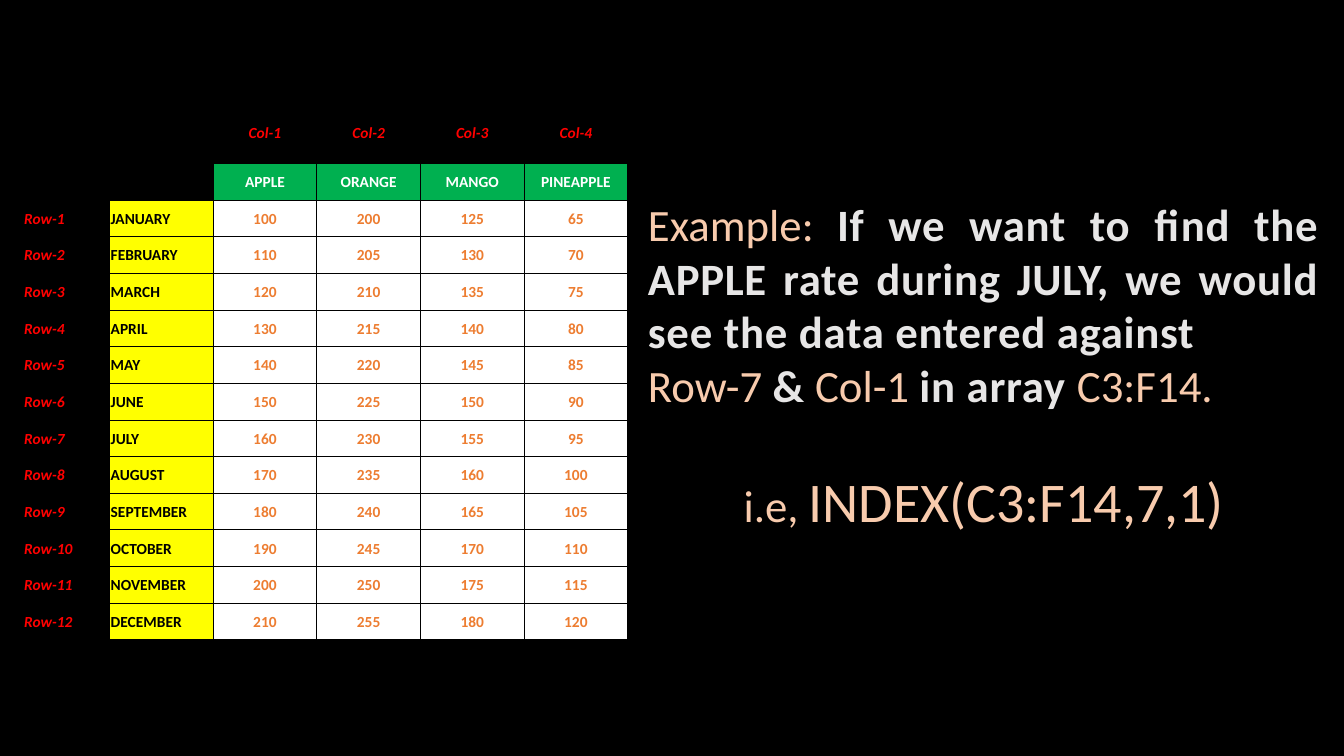
from lxml import etree
from pptx import Presentation
from pptx import util as u
from pptx.dml.color import RGBColor
from pptx.enum import text
from pptx.oxml import ns

FONT = "Calibri"
BLACK, WHITE, RED = "000000", "FFFFFF", "FF0000"
GREEN, YELLOW, ORANGE, PEACH, GREY = "00B050", "FFFF00", "ED7D31", "F8CBAD", "E7E6E6"
LEFT, CENTER, JUSTIFY = text.PP_ALIGN.LEFT, text.PP_ALIGN.CENTER, text.PP_ALIGN.JUSTIFY
MONTHS = ["JANUARY", "FEBRUARY", "MARCH", "APRIL", "MAY", "JUNE", "JULY",
          "AUGUST", "SEPTEMBER", "OCTOBER", "NOVEMBER", "DECEMBER"]
JANUARY_RATE_AND_STEP = {"APPLE": (100, 10), "ORANGE": (200, 5),
                         "MANGO": (125, 5), "PINEAPPLE": (65, 5)}
STYLES = {
    "blank": (None, LEFT, {}),
    "column label": (None, CENTER, {"color": RED, "italic": True}),
    "row label": (None, LEFT, {"color": RED, "italic": True}),
    "fruit": (GREEN, CENTER, {"color": WHITE}),
    "month": (YELLOW, LEFT, {"color": BLACK}),
    "rate": (WHITE, CENTER, {"color": ORANGE}),
}


def paint(fill, color):
    """Give a fill one solid colour from a hex string."""
    fill.solid()
    fill.fore_color.rgb = RGBColor.from_string(color)


def add_line(parent, tag, color, points, position):
    """Insert a solid line definition into an XML properties element."""
    line = etree.Element(ns.qn(tag), w=str(u.Pt(points)))
    solid = etree.SubElement(line, ns.qn("a:solidFill"))
    etree.SubElement(solid, ns.qn("a:srgbClr"), val=color)
    parent.insert(position, line)


def add_run(paragraph, words, color, **formats):
    """Append formatted words to a paragraph and return the run."""
    run = paragraph.add_run()
    run.text = words
    paint(run.font.fill, color)
    for name, value in {"name": FONT, **formats}.items():
        setattr(run.font, name, value)
    return run


def fill_cell(cell, words, style):
    """Format one table cell with its words, fill and borders."""
    color, alignment, formats = STYLES[style]
    margins = {"margin_left": u.Cm(0.03), "margin_right": u.Cm(0.03),
               "margin_top": u.Cm(0.03), "margin_bottom": 0}
    for name, value in {**margins, "vertical_anchor": text.MSO_ANCHOR.MIDDLE}.items():
        setattr(cell, name, value)
    if color:
        paint(cell.fill, color)
    else:
        cell.fill.background()
    for position, side in enumerate(["a:lnL", "a:lnR", "a:lnT", "a:lnB"]):
        add_line(cell._tc.get_or_add_tcPr(), side, BLACK, 0.5, position)
    paragraph = cell.text_frame.paragraphs[0]
    paragraph.alignment = alignment
    if words:
        add_run(paragraph, words, size=u.Pt(11), bold=True, **formats)


def rate_rows():
    """Return the rows of the table as pairs of words and style."""
    blanks = [("", "blank")] * 2
    fruits = list(JANUARY_RATE_AND_STEP)
    rows = [blanks + [(f"Col-{number}", "column label") for number in range(1, len(fruits) + 1)],
            blanks + [(fruit, "fruit") for fruit in fruits]]
    for index, month in enumerate(MONTHS):
        rates = [(str(start + step * index), "rate")
                 for start, step in JANUARY_RATE_AND_STEP.values()]
        rows.append([(f"Row-{index + 1}", "row label"), (month, "month")] + rates)
    return rows


def add_rate_table(slide, left, top, width, height):
    """Place the fruit rate table in its box."""
    rows = rate_rows()
    table = slide.shapes.add_table(len(rows), len(rows[0]), left, top, width, height).table
    table.first_row = table.horz_banding = False
    label_width, label_height = u.Cm(2.18), u.Cm(1.58)
    for index, column in enumerate(table.columns):
        column.width = (width - label_width) // (len(rows[0]) - 1) if index else label_width
    for index, row in enumerate(table.rows):
        row.height = (height - label_height) // (len(rows) - 1) if index else label_height
    for row, contents in zip(table.rows, rows):
        for cell, (words, style) in zip(row.cells, contents):
            fill_cell(cell, words, style)


def add_key_words(paragraph, words, points=32):
    """Append peach words with an orange outline."""
    run = add_run(paragraph, words, PEACH, size=u.Pt(points))
    add_line(run.font._element, "a:ln", ORANGE, 1.75, 0)


def add_plain_words(paragraph, words):
    """Append bold grey words with slightly widened spacing."""
    run = add_run(paragraph, words, GREY, size=u.Pt(32), bold=True)
    run.font._element.set("spc", "50")


def add_example(slide, left, top, width, height):
    """Place the worked example in its box."""
    frame = slide.shapes.add_textbox(left, top, width, height).text_frame
    frame.word_wrap = True
    question, position, formula = frame.paragraphs[0], frame.add_paragraph(), frame.add_paragraph()
    question.alignment = position.alignment = JUSTIFY
    formula.alignment = CENTER
    formula.space_before = u.Pt(39)
    add_key_words(question, "Example: ")
    add_plain_words(question, "If we want to find the APPLE rate during JULY, "
                              "we would see the data entered against ")
    add_key_words(position, "Row-7 ")
    add_plain_words(position, "&")
    add_key_words(position, " Col-1 ")
    add_plain_words(position, "in array ")
    add_key_words(position, "C3:F14.")
    add_key_words(formula, "i.e, ")
    add_key_words(formula, "INDEX(C3:F14,7,1)", 40)


def main():
    """Build the slide and save it."""
    presentation = Presentation()
    presentation.slide_width, presentation.slide_height = u.Cm(33.87), u.Cm(19.05)
    slide = presentation.slides.add_slide(presentation.slide_layouts[6])
    paint(slide.background.fill, BLACK)
    add_rate_table(slide, u.Cm(0.58), u.Cm(2.54), u.Cm(15.24), u.Cm(13.58))
    add_example(slide, u.Cm(16.08), u.Cm(4.83), u.Cm(17.42), u.Cm(10.52))
    presentation.save("out.pptx")


if __name__ == "__main__":
    main()
